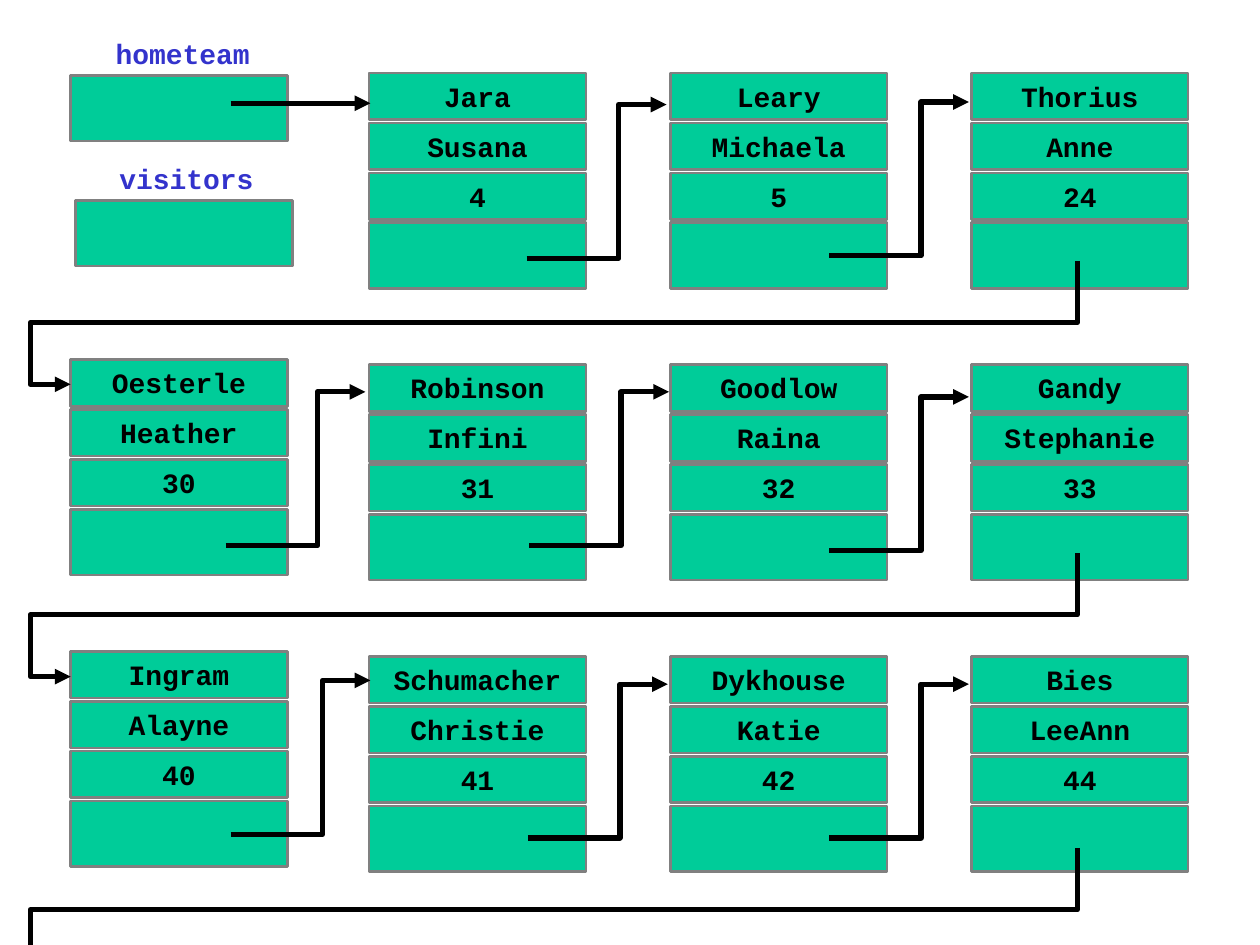
from itertools import accumulate

from lxml.etree import SubElement
from pptx import Presentation
from pptx.dml.color import RGBColor
from pptx.enum.shapes import MSO_CONNECTOR as Connector, MSO_SHAPE as Shape
from pptx.enum.text import MSO_ANCHOR as Anchor, PP_ALIGN as Align
from pptx.oxml.ns import qn
from pptx.util import Inches, Pt

SLIDE_WIDTH, SLIDE_HEIGHT = 10, 7.5
FIRST_LEFT, COLUMN_STEP = 0.54, 2.39
FIRST_TOP, ROW_STEP = 0.58, 2.315
NODE_WIDTH, FIELD_HEIGHT, POINTER_HEIGHT = 1.72, 0.37, 0.52
FIELD_STEP = 0.396
LABEL_WIDTH = 1.76
LINK_LEGS = [(0.73, 0), (0, -1.22), (0.38, 0)]
WRAP_LEGS = [(0, 0.49), (-8.31, 0), (0, 0.49), (0.32, 0)]

GREEN, GRAY, BLACK, BLUE = "00CC99", "808080", "000000", "3333CC"

PLAYERS = [
    (1, 0, "Jara", "Susana", "4"),
    (2, 0, "Leary", "Michaela", "5"),
    (3, 0, "Thorius", "Anne", "24"),
    (0, 1, "Oesterle", "Heather", "30"),
    (1, 1, "Robinson", "Infini", "31"),
    (2, 1, "Goodlow", "Raina", "32"),
    (3, 1, "Gandy", "Stephanie", "33"),
    (0, 2, "Ingram", "Alayne", "40"),
    (1, 2, "Schumacher", "Christie", "41"),
    (2, 2, "Dykhouse", "Katie", "42"),
    (3, 2, "Bies", "LeeAnn", "44"),
]
LINK_STARTS = [
    (4.18, 2.05), (6.58, 2.03),
    (1.79, 4.33), (4.2, 4.33), (6.58, 4.37),
    (1.83, 6.62), (4.19, 6.65), (6.58, 6.65),
]
WRAP_STARTS = [(8.55, 2.07), (8.55, 4.39), (8.55, 6.73)]
TEAMS = [("hometeam", 0.57, 0.24, 0.56, 0.6), ("visitors", 0.6, 1.23, 0.6, 1.59)]


def color(hex_value):
    return RGBColor.from_string(hex_value)


def apply_format(target, values):
    for name, value in values.items():
        setattr(target, name, value)


def write_text(frame, text, text_color):
    apply_format(frame, {
        "word_wrap": True, "vertical_anchor": Anchor.TOP,
        "margin_left": Inches(0.1), "margin_right": Inches(0.1),
        "margin_top": Inches(0.05), "margin_bottom": Inches(0.05),
    })
    paragraph = frame.paragraphs[0]
    paragraph.text = text
    paragraph.alignment = Align.CENTER
    apply_format(paragraph.font, {"name": "Courier New", "size": Pt(16), "bold": True})
    paragraph.font.color.rgb = color(text_color)


def add_box(shapes, left, top, height, text=""):
    box = shapes.add_shape(Shape.RECTANGLE, *map(Inches, (left, top, NODE_WIDTH, height)))
    box.shadow.inherit = False
    box.fill.solid()
    box.fill.fore_color.rgb = color(GREEN)
    box.line.color.rgb = color(GRAY)
    box.line.width = Pt(1.5)
    if text:
        write_text(box.text_frame, text, BLACK)


def add_label(shapes, left, top, text):
    label = shapes.add_textbox(*map(Inches, (left, top, LABEL_WIDTH, FIELD_HEIGHT)))
    write_text(label.text_frame, text, BLUE)


def add_node(shapes, column, row, fields):
    first_column = column == 0
    left = FIRST_LEFT + column * COLUMN_STEP + 0.02 * first_column
    top = FIRST_TOP + row * ROW_STEP - 0.04 * first_column
    node = shapes.add_group_shape().shapes
    for index, field in enumerate(fields):
        add_box(node, left, top + index * FIELD_STEP, FIELD_HEIGHT, field)
    add_box(node, left, top + len(fields) * FIELD_STEP, POINTER_HEIGHT)


def style_arrow(arrow):
    arrow.line.color.rgb = color(BLACK)
    arrow.line.width = Pt(3)
    properties = arrow.element.spPr
    outline = properties.find(qn("a:ln"))
    SubElement(outline, qn("a:round"))
    SubElement(outline, qn("a:tailEnd"), type="triangle")


def add_bent_arrow(shapes, start, legs):
    points = list(accumulate(legs, lambda at, leg: (at[0] + leg[0], at[1] + leg[1]), initial=start))
    corners = [(Inches(x), Inches(y)) for x, y in points]
    builder = shapes.build_freeform(*corners[0])
    builder.add_line_segments(corners[1:], close=False)
    arrow = builder.convert_to_shape()
    arrow.shadow.inherit = False
    arrow.fill.background()
    style_arrow(arrow)


def add_straight_arrow(shapes, left, right, height):
    arrow = shapes.add_connector(Connector.STRAIGHT, *map(Inches, (left, height, right, height)))
    style_arrow(arrow)
    SubElement(arrow.element.spPr, qn("a:effectLst"))


def main():
    deck = Presentation()
    deck.slide_width, deck.slide_height = Inches(SLIDE_WIDTH), Inches(SLIDE_HEIGHT)
    shapes = deck.slides.add_slide(deck.slide_layouts[6]).shapes
    for team, label_left, label_top, left, top in TEAMS:
        add_box(shapes, left, top, POINTER_HEIGHT)
        add_label(shapes, label_left, label_top, team)
    for column, row, *fields in PLAYERS:
        add_node(shapes, column, row, fields)
    add_straight_arrow(shapes, 1.83, 2.94, 0.82)
    for starts, legs in ((LINK_STARTS, LINK_LEGS), (WRAP_STARTS, WRAP_LEGS)):
        for start in starts:
            add_bent_arrow(shapes, start, legs)
    deck.save("out.pptx")


if __name__ == "__main__":
    main()
